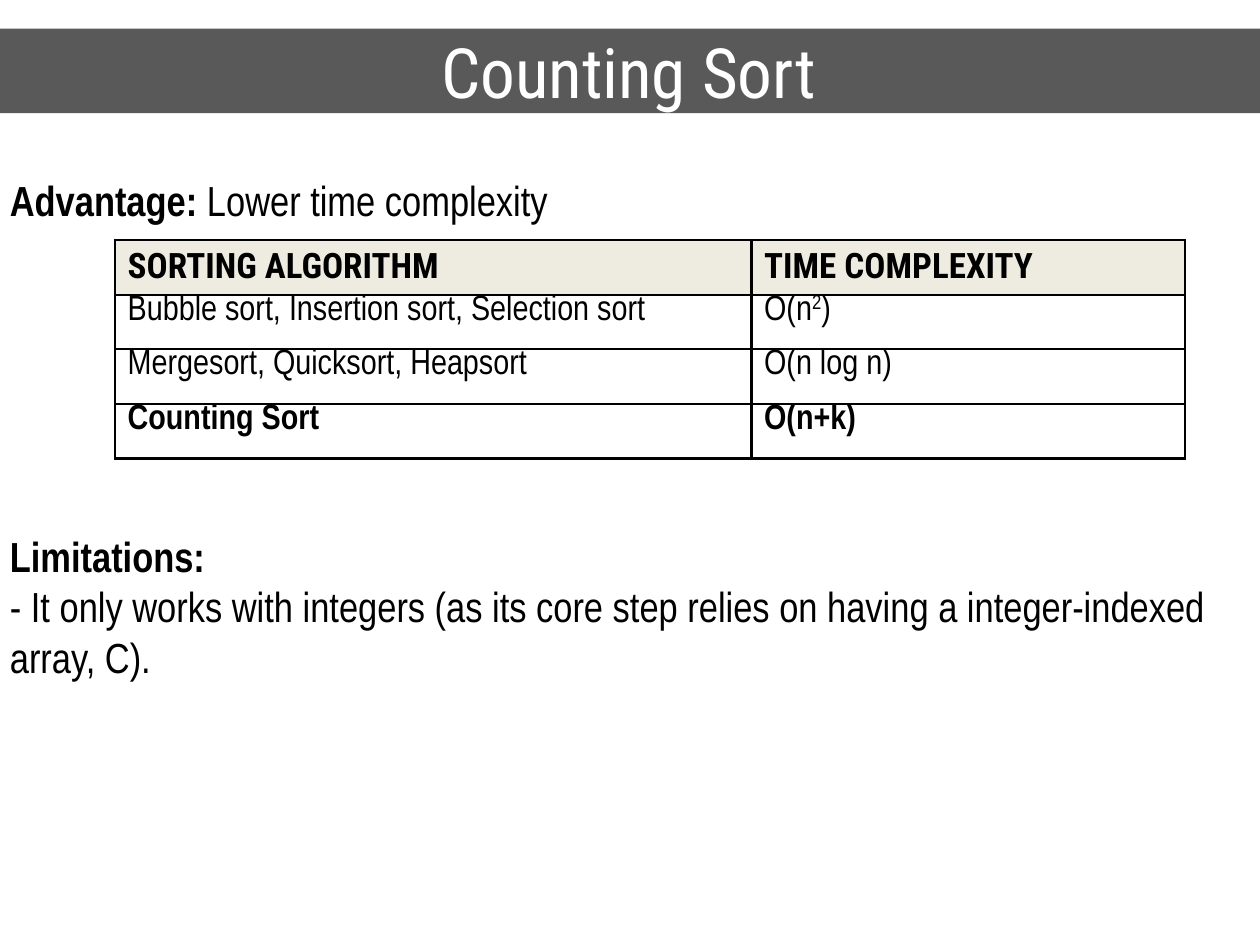
from lxml.etree import SubElement
from pptx import Presentation
from pptx.dml.color import RGBColor
from pptx.enum.shapes import MSO_SHAPE
from pptx.enum.text import MSO_ANCHOR, PP_ALIGN
from pptx.oxml.ns import qn
from pptx.util import Cm, Pt

BLACK = RGBColor(0x00, 0x00, 0x00)
WHITE = RGBColor(0xFF, 0xFF, 0xFF)
GREY = RGBColor(0x59, 0x59, 0x59)
CREAM = RGBColor(0xEE, 0xEC, 0xE1)
HEAD_FONT, BODY_FONT = "Roboto Condensed", "Arial Narrow"

TITLE = "Counting Sort"
# Each paragraph is a list of (text, bold) runs
NOTES = [
    (3.4, 1.27, [[("Advantage: ", True), ("Lower time complexity", False)]]),
    (10.57, 3.33, [
        [("Limitations:", True)],
        [("- It only works with integers (as its core step relies on having "
          "a integer-indexed array, C).", False)],
    ]),
]
# "^" starts and ends a superscript
ROWS = [
    ("SORTING ALGORITHM", "TIME COMPLEXITY"),
    ("Bubble sort, Insertion sort, Selection sort", "O(n^2^)"),
    ("Mergesort, Quicksort, Heapsort", "O(n log n)"),
    ("Counting Sort", "O(n+k)"),
]
BOLD_ROWS = {0, len(ROWS) - 1}
COL_WIDTHS = [12.83, 8.74]
ROW_HEIGHT = 1.1
LEFT, WIDTH = -0.05, 25.45


def add_run(p, text, size=24, font=BODY_FONT, color=BLACK, bold=False, superscript=False):
    r = p.add_run()
    r.text = text
    r.font.size, r.font.name, r.font.bold = Pt(size), font, bold
    r.font.color.rgb = color
    if superscript:
        r.font._element.set("baseline", "30000")


def add_borders(cell, width=1.5):
    tcPr = cell._tc.get_or_add_tcPr()
    for side in ("lnL", "lnR", "lnT", "lnB"):
        ln = SubElement(tcPr, qn(f"a:{side}"), w=str(Pt(width)))
        SubElement(SubElement(ln, qn("a:solidFill")), qn("a:srgbClr"), val=str(BLACK))


def add_title(s):
    bar = s.shapes.add_shape(MSO_SHAPE.RECTANGLE, Cm(LEFT), Cm(0.58), Cm(WIDTH), Cm(1.7))
    bar.shadow.inherit = False
    bar.fill.solid()
    bar.fill.fore_color.rgb = GREY
    bar.line.fill.background()
    tf = bar.text_frame
    tf.vertical_anchor = MSO_ANCHOR.MIDDLE
    p = tf.paragraphs[0]
    p.alignment = PP_ALIGN.CENTER
    add_run(p, TITLE, size=39.6, font=HEAD_FONT, color=WHITE)


def add_note(s, top, height, paragraphs):
    tf = s.shapes.add_textbox(Cm(LEFT), Cm(top), Cm(WIDTH), Cm(height)).text_frame
    tf.word_wrap = True
    for i, runs in enumerate(paragraphs):
        p = tf.add_paragraph() if i else tf.paragraphs[0]
        for text, bold in runs:
            add_run(p, text, bold=bold)


def add_complexity_table(s):
    table = s.shapes.add_table(len(ROWS), len(COL_WIDTHS), Cm(2.32), Cm(4.84),
                               Cm(sum(COL_WIDTHS)), Cm(ROW_HEIGHT * len(ROWS))).table
    table.first_row = table.horz_banding = False
    for column, width in zip(table.columns, COL_WIDTHS):
        column.width = Cm(width)
    for i, texts in enumerate(ROWS):
        table.rows[i].height = Cm(ROW_HEIGHT)
        for j, text in enumerate(texts):
            cell = table.cell(i, j)
            add_borders(cell)
            if i == 0:
                cell.fill.solid()
                cell.fill.fore_color.rgb = CREAM
            else:
                cell.fill.background()
                cell.margin_top = cell.margin_bottom = 0
            for k, part in enumerate(text.split("^")):
                add_run(cell.text_frame.paragraphs[0], part, size=20,
                        font=BODY_FONT if i else HEAD_FONT,
                        bold=i in BOLD_ROWS, superscript=k % 2 == 1)


prs = Presentation()
prs.slide_width, prs.slide_height = Cm(25.4), Cm(19.05)
s = prs.slides.add_slide(prs.slide_layouts[6])
add_title(s)
for note in NOTES:
    add_note(s, *note)
add_complexity_table(s)
prs.save("out.pptx")
